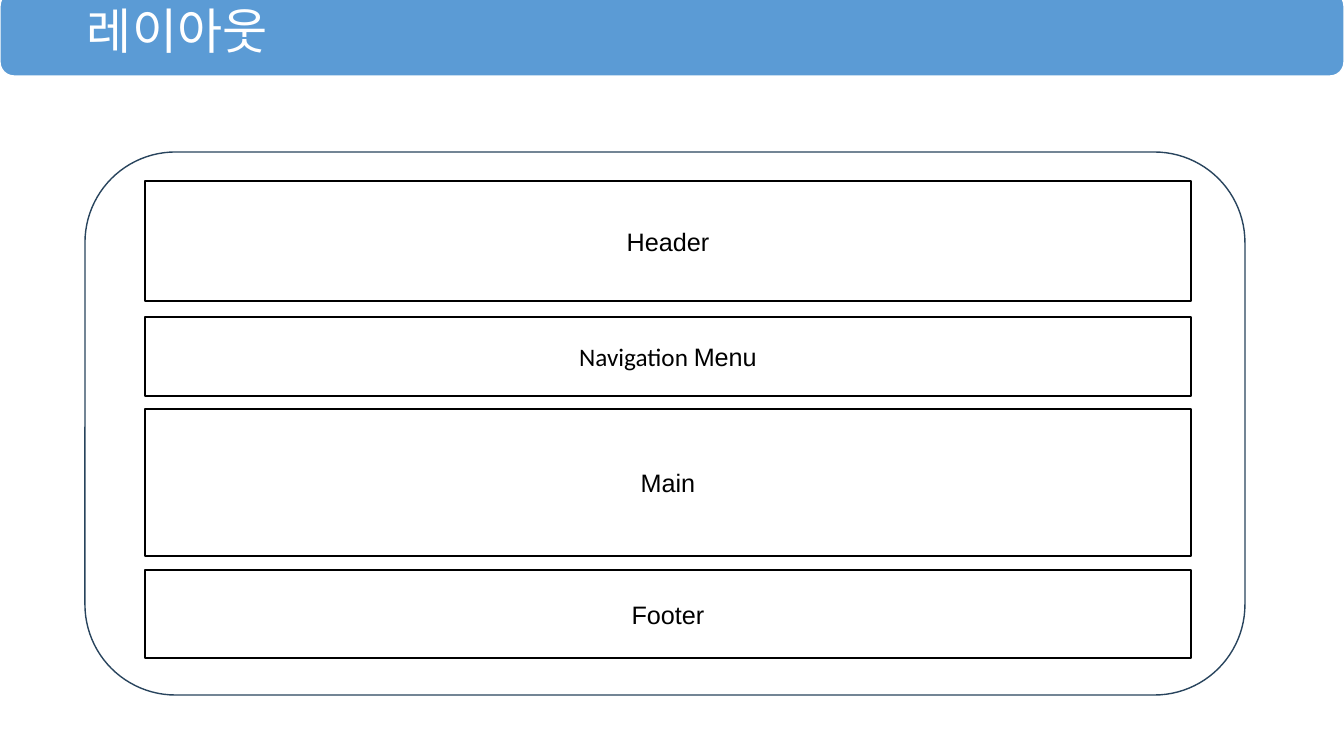
from dataclasses import dataclass

from pptx import Presentation, util as u
from pptx.dml.color import RGBColor
from pptx.enum import shapes, text


@dataclass(frozen=True)
class Theme:
    white: str = "FFFFFF"
    black: str = "000000"
    banner: str = "5B9BD5"
    frame: str = "28445D"
    title_size: int = 35
    label_size: int = 18
    line_width: int = 1
    main_font: str = "Arial"
    alt_font: str = "Calibri"


def px(length):
    """Turn px into EMU; the page is 1344 px wide."""
    return u.Emu(round(length * 12192000 / 1344))


class LayoutPage:
    def __init__(self, deck, theme):
        self.theme = theme
        self.page = deck.slides.add_slide(deck.slide_layouts[6])

    def panel(self, kind, place, line, fill=None):
        box = self.page.shapes.add_shape(kind, *map(px, place))
        box.shadow.inherit = False
        if fill:
            box.fill.solid()
            box.fill.fore_color.rgb = RGBColor.from_string(fill)
        else:
            box.fill.background()
        box.line.color.rgb = RGBColor.from_string(line)
        box.line.width = u.Pt(self.theme.line_width)
        return box

    def label(self, box, spans, size, color, frame_format, para_format):
        """Fill a box with one paragraph of (words, font) spans."""
        frame = box.text_frame
        para = frame.paragraphs[0]
        for target, values in ((frame, frame_format), (para, para_format)):
            for name, value in values.items():
                setattr(target, name, value)
        for words, font in spans:
            span = para.add_run()
            span.text = words
            span.font.name = font
            span.font.size = u.Pt(size)
            span.font.color.rgb = RGBColor.from_string(color)

    def title(self, words, place, indent):
        box = self.page.shapes.add_textbox(*map(px, place))
        inset = px(7)
        self.label(
            box, [(words, self.theme.main_font)],
            self.theme.title_size, self.theme.white,
            {"word_wrap": True, "vertical_anchor": text.MSO_ANCHOR.MIDDLE,
             "margin_left": px(indent), "margin_right": inset,
             "margin_top": inset, "margin_bottom": inset},
            {"line_spacing": 0.9, "alignment": text.PP_ALIGN.LEFT})

    def section(self, spans, place):
        box = self.panel(shapes.MSO_SHAPE.RECTANGLE, place,
                         self.theme.black, self.theme.white)
        self.label(
            box, spans, self.theme.label_size, self.theme.black,
            {"word_wrap": True, "vertical_anchor": text.MSO_ANCHOR.MIDDLE},
            {"alignment": text.PP_ALIGN.CENTER})


def main():
    deck = Presentation()
    deck.slide_width, deck.slide_height = px(1344), px(756)
    theme = Theme()
    layout = LayoutPage(deck, theme)

    rounded = shapes.MSO_SHAPE.ROUNDED_RECTANGLE
    layout.panel(rounded, (0, -8, 1344, 84), theme.white, theme.banner)
    layout.title("레이아웃", (4, -4, 1336, 76), indent=83)
    layout.panel(rounded, (85, 152, 1160, 543), theme.frame)

    sections = [
        ([("Header", theme.main_font)], 181, 120),
        ([("Navigation ", theme.alt_font), ("Menu", theme.main_font)], 317, 79),
        ([("Main", theme.main_font)], 409, 147),
        ([("Footer", theme.main_font)], 570, 88),
    ]
    for spans, top, height in sections:
        layout.section(spans, (145, top, 1046, height))

    deck.save("out.pptx")


if __name__ == "__main__":
    main()
